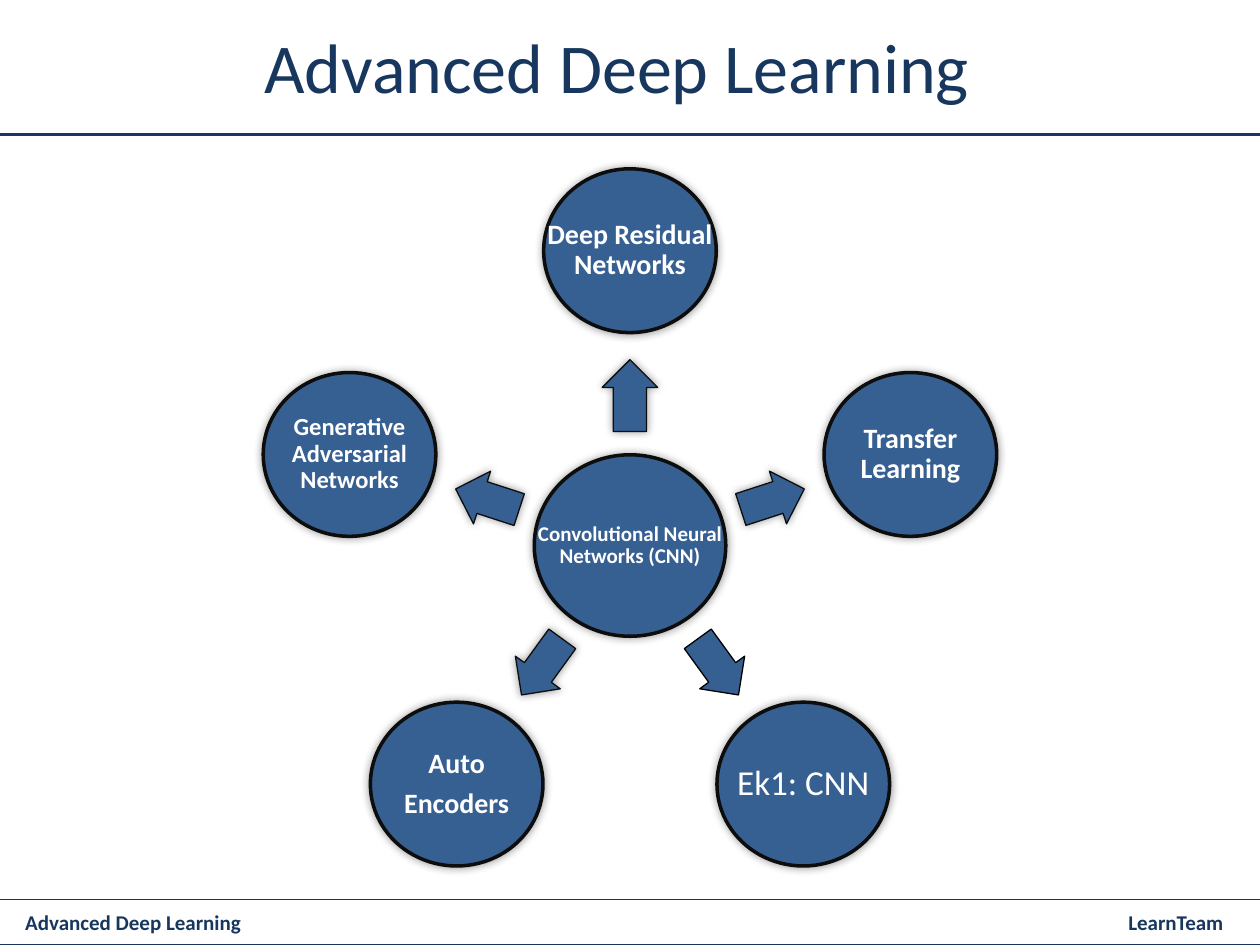
"""Build the Advanced Deep Learning hub-and-spoke slide."""
from math import cos, radians, sin

from lxml.etree import SubElement
from pptx import Presentation
from pptx.dml.color import RGBColor
from pptx.enum.shapes import MSO_SHAPE
from pptx.enum.text import MSO_ANCHOR, PP_ALIGN
from pptx.oxml.ns import qn
from pptx.util import Inches, Pt

BLUE = RGBColor(0x37, 0x60, 0x92)
NAVY = RGBColor(0x17, 0x37, 0x5E)
INK = RGBColor(0x0D, 0x0D, 0x0D)
BLACK = RGBColor(0, 0, 0)
WHITE = RGBColor(0xFF, 0xFF, 0xFF)

CX, CY = 5, 4.33
NODE_RADIUS, ARROW_RADIUS = 2.34, 1.19
NODE_W, NODE_H, ARROW_H = 1.37, 1.3, 0.44


def write(sp, text, size, color=WHITE, bold=False, align=PP_ALIGN.CENTER,
          margin=0.02, spacing=None, after=0, tab=None):
    tf = sp.text_frame
    tf.word_wrap = True
    tf.vertical_anchor = MSO_ANCHOR.MIDDLE
    tf.margin_left = tf.margin_right = Inches(margin)
    tf.margin_top = tf.margin_bottom = Inches(0.02)
    tf.text = text
    for p in tf.paragraphs:
        p.alignment = align
        p.line_spacing = spacing
        p.space_after = Pt(after)
        if tab:
            tabs = SubElement(p._p.get_or_add_pPr(), qn("a:tabLst"))
            SubElement(tabs, qn("a:tab"), pos=str(Inches(tab)), algn="r")
        for r in p.runs:
            r.font.name = "Calibri"
            r.font.size = Pt(size)
            r.font.bold = bold
            r.font.color.rgb = color


def add_solid(kind, cx, cy, w, h, line_width, line=INK, glow=True):
    sp = slide.shapes.add_shape(kind, Inches(cx - w / 2), Inches(cy - h / 2),
                                Inches(w), Inches(h))
    sp.fill.solid()
    sp.fill.fore_color.rgb = BLUE
    sp.line.color.rgb = line
    sp.line.width = Pt(line_width)
    sp.shadow.inherit = False
    if glow:
        effects = sp._element.spPr.find(qn("a:effectLst"))
        shadow = SubElement(effects, qn("a:outerShdw"), blurRad=str(Pt(5)),
                            dist="0", dir="0", rotWithShape="0")
        color = SubElement(shadow, qn("a:srgbClr"), val="000000")
        SubElement(color, qn("a:alpha"), val="40000")
    return sp


prs = Presentation()
prs.slide_width, prs.slide_height = Inches(10), Inches(7.5)
slide = prs.slides.add_slide(prs.slide_layouts[5])

title = slide.shapes.title
title.left, title.top = Inches(-0.32), Inches(-0.03)
title.width, title.height = Inches(10.43), Inches(1.1)
title.line.color.rgb = NAVY
title.line.width = Pt(1.5)
write(title, "Advanced Deep Learning", 40, color=NAVY)

circles = [(CX, CY, 1.52, 1.44, "Convolutional Neural Networks (CNN)", 12, True)]
spokes = [
    ("Deep Residual Networks", 16, True, 0.57),
    ("Transfer Learning", 16, True, 0.53),
    ("Ek1: CNN", 20, False, 0.55),
    ("Auto\nEncoders", 16, True, 0.55),
    ("Generative Adversarial Networks", 14, True, 0.53),
]
for i, (text, size, bold, length) in enumerate(spokes):
    angle = 270 + 72 * i
    dx, dy = cos(radians(angle)), sin(radians(angle))
    plain = text == "Ek1: CNN"
    arrow = add_solid(MSO_SHAPE.RIGHT_ARROW, CX + ARROW_RADIUS * dx,
                      CY + ARROW_RADIUS * dy, length, ARROW_H, 0.75,
                      line=BLACK if plain else INK, glow=not plain)
    arrow.adjustments[0], arrow.adjustments[1] = 0.6, 0.5
    arrow.rotation = angle % 360
    circles.append((CX + NODE_RADIUS * dx, CY + NODE_RADIUS * dy,
                    NODE_W, NODE_H, text, size, bold))

for cx, cy, w, h, text, size, bold in circles:
    sp = add_solid(MSO_SHAPE.OVAL, cx, cy, w, h, 2)
    label = slide.shapes.add_textbox(sp.left, sp.top, sp.width, sp.height)
    write(label, text, size, bold=bold, spacing=0.9, after=0.35 * size)

footer = slide.shapes.add_shape(MSO_SHAPE.RECTANGLE, Inches(-0.12), Inches(7.14),
                                Inches(10.32), Inches(0.36))
footer.fill.background()
footer.line.color.rgb = NAVY
footer.line.width = Pt(0.75)
footer.shadow.inherit = False
write(footer, "Advanced Deep Learning\tLearnTeam", 12, color=NAVY, bold=True,
      align=PP_ALIGN.LEFT, margin=0.32, tab=9.51)

prs.save("out.pptx")
